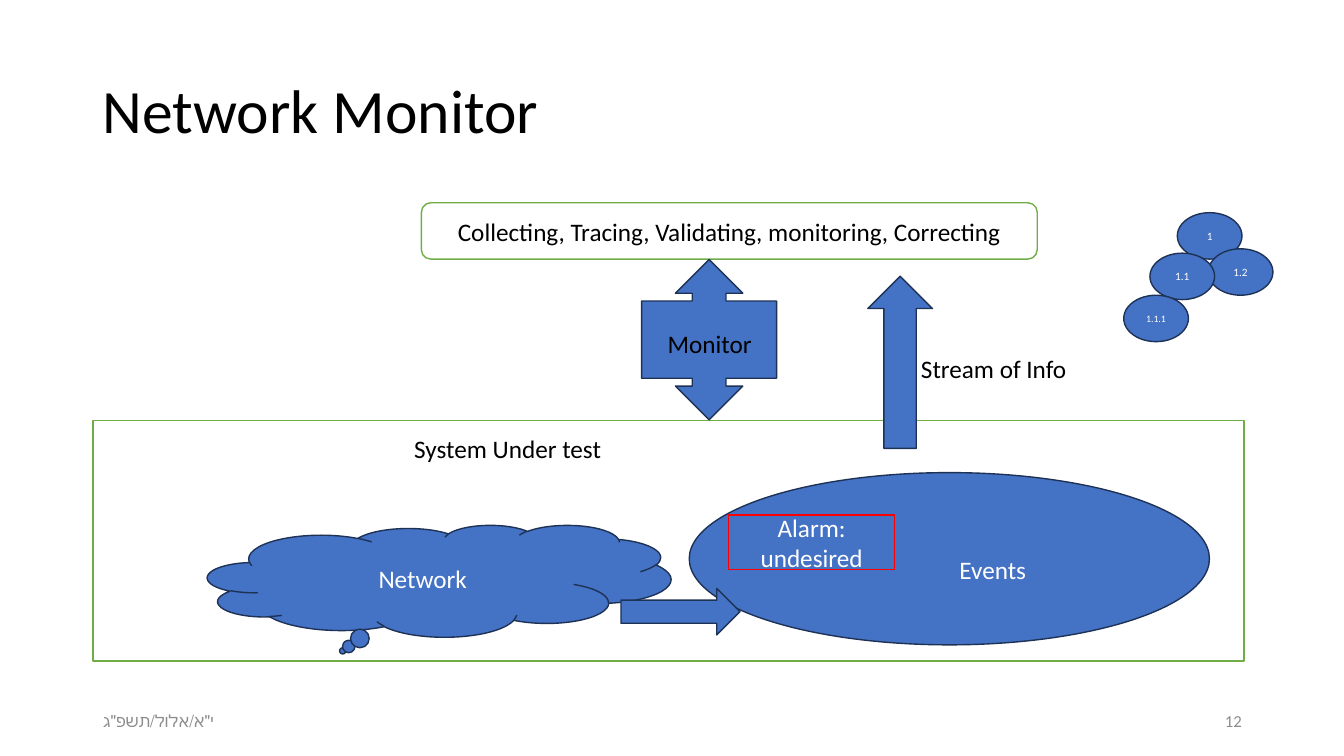
"""Builds the Network Monitor slide."""
from pptx import Presentation
from pptx.dml.color import RGBColor
from pptx.enum.shapes import MSO_SHAPE
from pptx.enum.text import MSO_ANCHOR, PP_ALIGN
from pptx.util import Cm, Pt

RECTANGLE = MSO_SHAPE.RECTANGLE
ROUNDED = MSO_SHAPE.ROUNDED_RECTANGLE
OVAL = MSO_SHAPE.OVAL
CLOUD = MSO_SHAPE.CLOUD_CALLOUT
TWO_WAY_CALLOUT = MSO_SHAPE.LEFT_RIGHT_ARROW_CALLOUT
RIGHT_ARROW = MSO_SHAPE.RIGHT_ARROW
UP_ARROW = MSO_SHAPE.UP_ARROW
TOP, MIDDLE = MSO_ANCHOR.TOP, MSO_ANCHOR.MIDDLE
LEFT, CENTER, RIGHT = PP_ALIGN.LEFT, PP_ALIGN.CENTER, PP_ALIGN.RIGHT

FONT = "Calibri"
COLORS = {
    "white": "FFFFFF",
    "black": "000000",
    "grey": "8C8C8C",
    "blue": "4472C4",
    "navy": "1E3256",
    "green": "70AD47",
    "red": "FF0000",
}

SYSTEM_SHAPES = [
    (RECTANGLE, (2.34, 10.59, 29.01, 6.07), "white", "green", ""),
    (OVAL, (17.37, 11.91, 13.11, 4.34), "blue", "navy", ""),
    (RECTANGLE, (18.36, 12.98, 4.19, 1.37), "blue", "red", "Alarm: undesired"),
    (CLOUD, (5.23, 13.23, 11.68, 2.82), "blue", "navy", "Network"),
    (ROUNDED, (10.62, 5.11, 15.52, 1.42), "white", "green",
     "Collecting, Tracing, Validating, monitoring, Correcting"),
    (RIGHT_ARROW, (15.65, 14.83, 3, 1.17), "blue", "navy", ""),
    (UP_ARROW, (21.87, 6.96, 1.63, 4.34), "blue", "navy", ""),
]
MONITOR_BOX = (15.85, 6.86, 4.04, 3.4)
LABELS = [
    ("Network Monitor", (2.34, 1.02, 29.21, 3.68), 44, "black", LEFT, MIDDLE),
    ('י"א/אלול/תשפ"ג', (2.34, 17.65, 7.62, 1.02), 12, "grey", LEFT, MIDDLE),
    ("12", (23.93, 17.65, 7.62, 1.02), 12, "grey", RIGHT, MIDDLE),
    ("Events", (23.93, 13.84, 4.65, 1.02), 18, "white", LEFT, TOP),
    ("System Under test", (10.19, 10.8, 10.29, 1.02), 18, "black", LEFT, TOP),
    ("Monitor", (15.04, 8.15, 5.69, 1.02), 18, "black", CENTER, TOP),
    ("Stream of Info", (22.96, 8.79, 4.37, 1.8), 18, "black", LEFT, TOP),
]
NODE_SIZE = (1.63, 1.17)
NODES = [
    ("1", (29.67, 5.36), 8),
    ("1.2", (30.45, 6.27), 8),
    ("1.1", (28.98, 6.38), 8),
    ("1.1.1", (28.32, 7.44), 7),
]


def color(name):
    return RGBColor.from_string(COLORS[name])


def write_text(shape, text, size, color_name, alignment, anchor):
    frame = shape.text_frame
    frame.word_wrap = True
    frame.vertical_anchor = anchor
    paragraph = frame.paragraphs[0]
    paragraph.text = text
    paragraph.alignment = alignment
    paragraph.font.name = FONT
    paragraph.font.size = Pt(size)
    paragraph.font.color.rgb = color(color_name)
    return paragraph


def add_shape(slide, kind, box, fill, line, text="", size=18):
    shape = slide.shapes.add_shape(kind, *map(Cm, box))
    shape.shadow.inherit = False
    shape.fill.solid()
    shape.fill.fore_color.rgb = color(fill)
    shape.line.color.rgb = color(line)
    shape.line.width = Pt(1)
    if text:
        text_color = "black" if fill == "white" else "white"
        write_text(shape, text, size, text_color, CENTER, MIDDLE)
    return shape


def main():
    presentation = Presentation()
    presentation.slide_width = Cm(33.87)
    presentation.slide_height = Cm(19.05)
    slide = presentation.slides.add_slide(presentation.slide_layouts[6])

    for kind, box, fill, line, text in SYSTEM_SHAPES:
        add_shape(slide, kind, box, fill, line, text)
    monitor = add_shape(slide, TWO_WAY_CALLOUT, MONITOR_BOX, "blue", "navy")
    monitor.rotation = 90
    for text, position, size in NODES:
        add_shape(slide, OVAL, position + NODE_SIZE, "blue", "navy", text, size)

    for text, box, size, color_name, alignment, anchor in LABELS:
        label = slide.shapes.add_textbox(*map(Cm, box))
        paragraph = write_text(label, text, size, color_name, alignment, anchor)
        if size == 44:
            paragraph.line_spacing = 0.9

    presentation.save("out.pptx")


if __name__ == "__main__":
    main()
